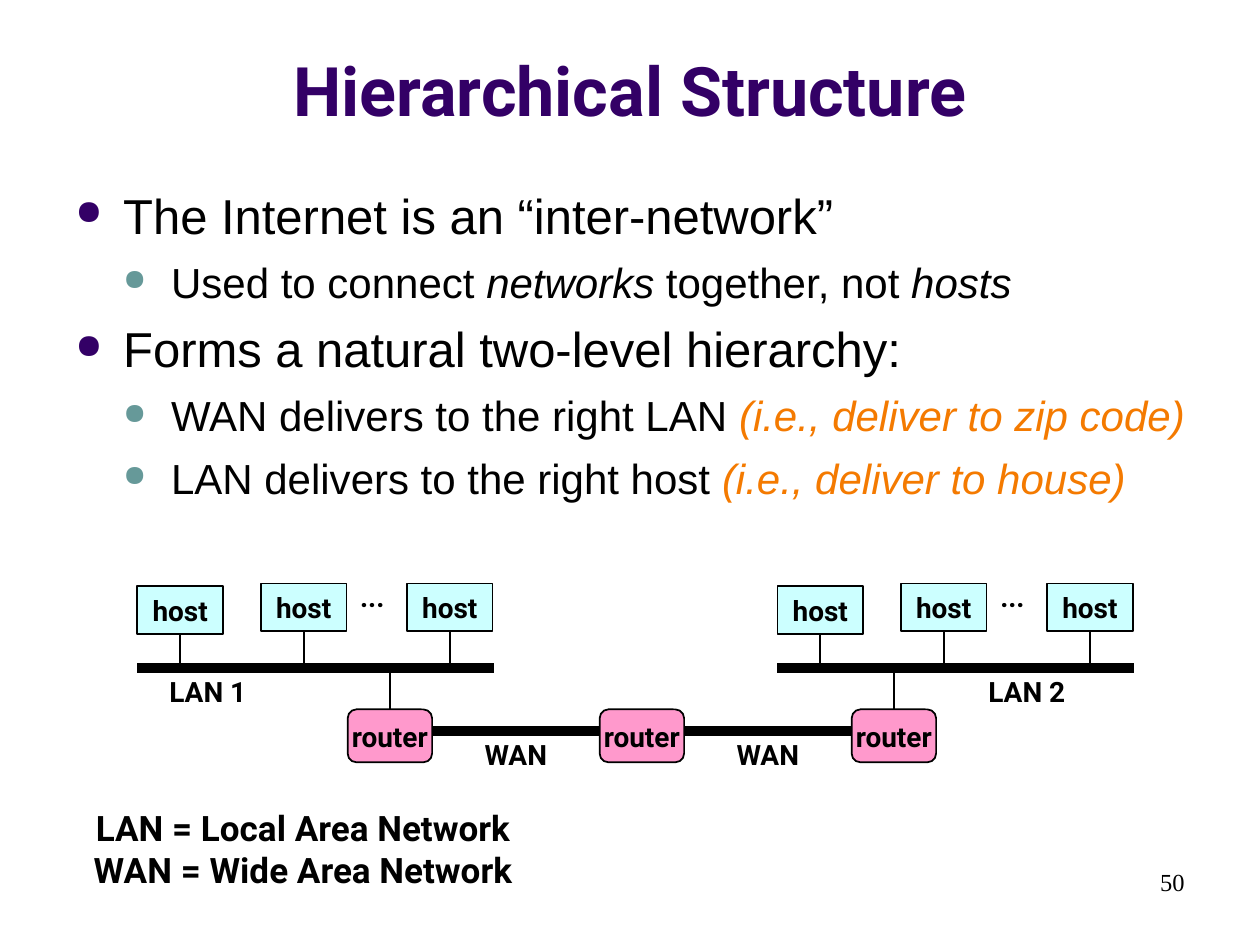
from lxml.etree import SubElement
from pptx import Presentation
from pptx.dml.color import RGBColor
from pptx.enum.shapes import MSO_CONNECTOR, MSO_SHAPE
from pptx.enum.text import MSO_ANCHOR, PP_ALIGN
from pptx.oxml.ns import qn
from pptx.util import Inches, Pt

BLACK = RGBColor(0x00, 0x00, 0x00)
PURPLE = RGBColor(0x33, 0x00, 0x66)
TEAL = RGBColor(0x66, 0x99, 0x99)
ORANGE = RGBColor(0xF4, 0x7A, 0x00)
CYAN = RGBColor(0xCC, 0xFF, 0xFF)
PINK = RGBColor(0xFF, 0x99, 0xCC)

BUS_Y = 5.3
BUS_WIDTH = 2.83
WAN_Y = 5.8
HOST_SIZE = (0.68, 0.38)
HOST_OFFSETS = [(0, 4.65), (0.98, 4.63), (2.14, 4.63)]
ROUTER_SIZE = (0.67, 0.42)
ROUTER_LEFTS = [2.76, 4.76, 6.76]
LANS = [("LAN 1", 1.09, 0.14), ("LAN 2", 6.17, 1.56)]

OUTLINE = [
    (0, [("The Internet is an “inter-network”", False, BLACK)]),
    (1, [("Used to connect ", False, BLACK), ("networks", True, BLACK),
         (" together, not ", False, BLACK), ("hosts", True, BLACK)]),
    (0, [("Forms a natural two-level hierarchy:", False, BLACK)]),
    (1, [("WAN delivers to the right LAN ", False, BLACK),
         ("(i.e., deliver to zip code)", True, ORANGE)]),
    (1, [("LAN delivers to the right host ", False, BLACK),
         ("(i.e., deliver to house)", True, ORANGE)]),
]
LEVELS = [(28, PURPLE), (24, TEAL)]


class Diagram:
    label_font = "Roboto"
    label_size = 16

    def __init__(self, slide):
        self.slide = slide

    def add_run(self, paragraph, text, size, font, color=BLACK, bold=False, italic=False):
        run = paragraph.add_run()
        run.text = text
        run.font.size = Pt(size)
        run.font.name = font
        run.font.color.rgb = color
        run.font.bold = bold
        run.font.italic = italic

    def fill_text(self, shape, lines, size, font=None, color=BLACK, bold=True,
                  align=PP_ALIGN.CENTER, anchor=MSO_ANCHOR.MIDDLE, wrap=False):
        frame = shape.text_frame
        frame.word_wrap = wrap
        frame.vertical_anchor = anchor
        for index, line in enumerate(lines):
            paragraph = frame.add_paragraph() if index else frame.paragraphs[0]
            paragraph.alignment = align
            self.add_run(paragraph, line, size, font or self.label_font, color, bold)

    def text(self, box, lines, size=label_size, **style):
        textbox = self.slide.shapes.add_textbox(*map(Inches, box))
        self.fill_text(textbox, lines, size, **style)

    def node(self, preset, left, top, size, fill, label):
        node = self.slide.shapes.add_shape(preset, *map(Inches, (left, top, *size)))
        node.shadow.inherit = False
        node.fill.solid()
        node.fill.fore_color.rgb = fill
        node.line.color.rgb = BLACK
        node.line.width = Pt(1)
        self.fill_text(node, [label], self.label_size)
        return node

    def line(self, start, end, width=1):
        line = self.slide.shapes.add_connector(
            MSO_CONNECTOR.STRAIGHT, *map(Inches, (*start, *end)))
        line.line.color.rgb = BLACK
        line.line.width = Pt(width)
        SubElement(line._element.spPr, qn("a:effectLst"))
        return line

    def bullets(self, box, items):
        frame = self.slide.shapes.add_textbox(*map(Inches, box)).text_frame
        frame.word_wrap = True
        for index, (level, runs) in enumerate(items):
            size, bullet_color = LEVELS[level]
            paragraph = frame.add_paragraph() if index else frame.paragraphs[0]
            paragraph.level = level
            if index:
                paragraph.space_before = Pt(7)
            properties = paragraph._p.get_or_add_pPr()
            properties.set("marL", str(Inches(0.38 * (level + 1))))
            properties.set("indent", str(Inches(-0.38)))
            color = SubElement(properties, qn("a:buClr"))
            SubElement(color, qn("a:srgbClr"), val=str(bullet_color))
            SubElement(properties, qn("a:buSzPct"), val="70000")
            SubElement(properties, qn("a:buChar"), char="●")
            for text, italic, text_color in runs:
                self.add_run(paragraph, text, size, "Arial", text_color, italic=italic)

    def lan(self, name, left, label_offset):
        self.line((left, BUS_Y), (left + BUS_WIDTH, BUS_Y), 6)
        for offset, top in HOST_OFFSETS:
            host = self.node(MSO_SHAPE.RECTANGLE, left + offset, top,
                             HOST_SIZE, CYAN, "host")
            center = left + offset + HOST_SIZE[0] / 2
            drop = self.line((center, top + HOST_SIZE[1]), (center, BUS_Y))
            drop.begin_connect(host, 2)
        self.text((left + label_offset, BUS_Y, 0.84, 0.37), [name])
        self.text((left + 1.67, 4.55, 0.39, 0.37), ["..."], wrap=True)

    def wan(self):
        width = ROUTER_SIZE[0]
        top = 5.63
        routers = [self.node(MSO_SHAPE.ROUNDED_RECTANGLE, left, top,
                             ROUTER_SIZE, PINK, "router")
                   for left in ROUTER_LEFTS]
        for index in (0, -1):
            center = ROUTER_LEFTS[index] + width / 2
            uplink = self.line((center, BUS_Y), (center, top))
            uplink.end_connect(routers[index], 0)
        for left, right in zip(ROUTER_LEFTS, ROUTER_LEFTS[1:]):
            self.line((left + width, WAN_Y), (right, WAN_Y), 6)
            self.text((left + 0.97, WAN_Y, 0.73, 0.37), ["WAN"])


def main():
    presentation = Presentation()
    presentation.slide_width = Inches(10)
    presentation.slide_height = Inches(7.5)
    diagram = Diagram(presentation.slides.add_slide(presentation.slide_layouts[6]))

    diagram.text((0, 0.13, 10, 0.95), ["Hierarchical Structure"], 39,
                 color=PURPLE, anchor=MSO_ANCHOR.BOTTOM, wrap=True)
    diagram.bullets((0.5, 1.42, 9.33, 5.29), OUTLINE)
    diagram.text((7.17, 6.83, 2.33, 0.5), ["50"], 14, font="Times New Roman",
                 bold=False, align=PP_ALIGN.RIGHT, anchor=MSO_ANCHOR.TOP, wrap=True)
    for name, left, label_offset in LANS:
        diagram.lan(name, left, label_offset)
    diagram.wan()
    diagram.text((0.55, 6.35, 3.71, 0.77),
                 ["LAN = Local Area Network", "WAN = Wide Area Network"], 20,
                 anchor=MSO_ANCHOR.TOP)
    presentation.save("out.pptx")


if __name__ == "__main__":
    main()
